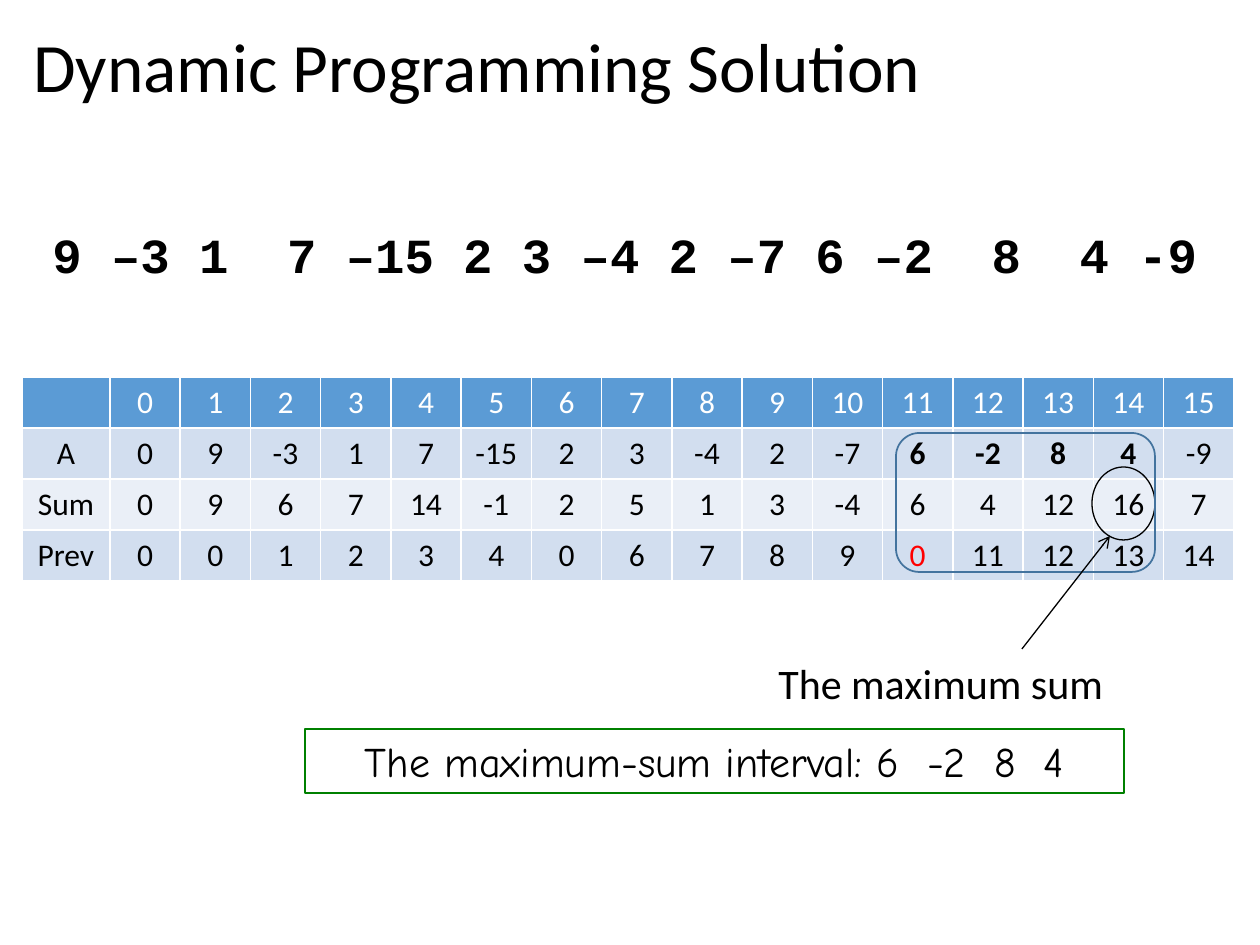
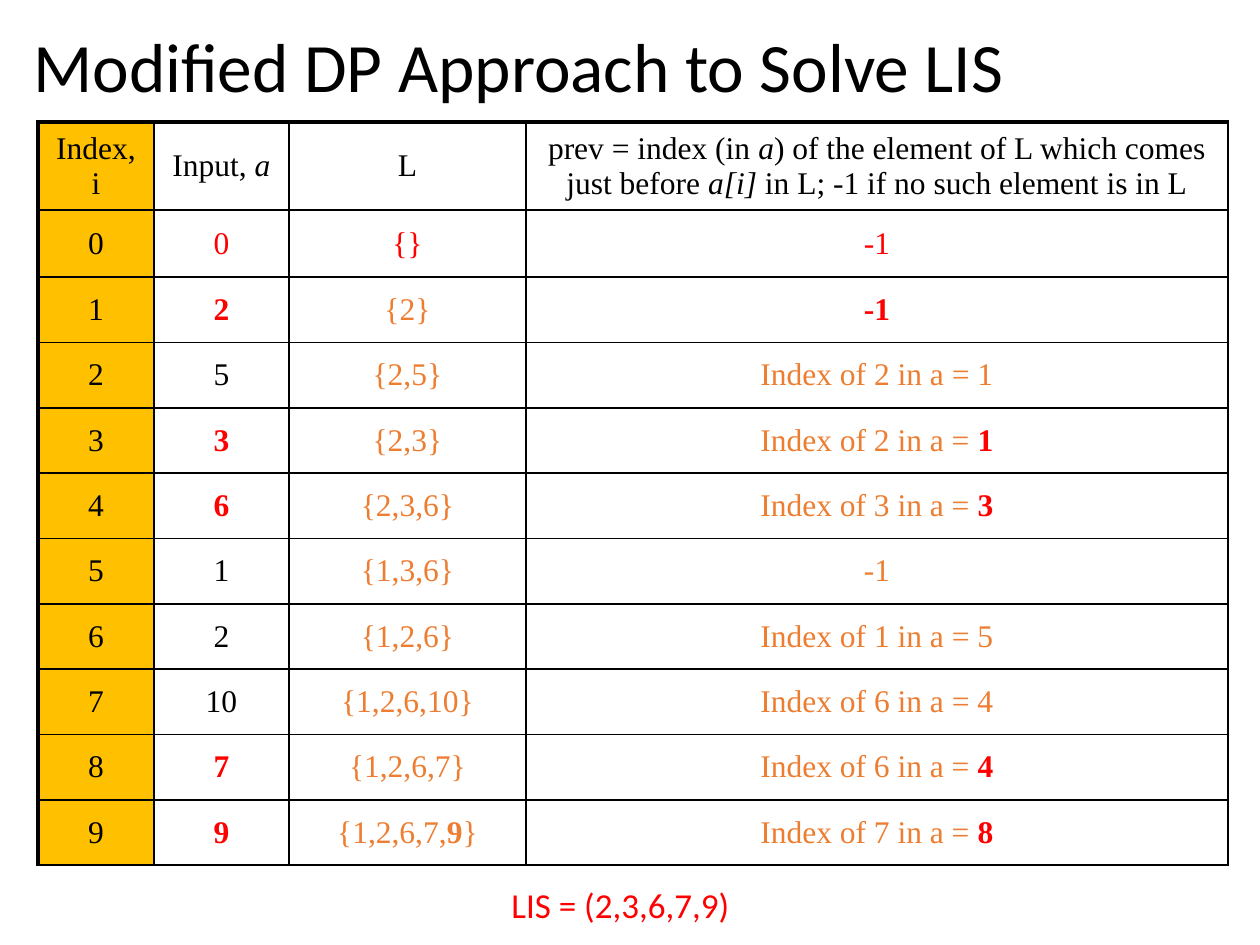
from pptx import Presentation, util as u
from pptx.dml.color import RGBColor
from pptx.enum import shapes, text
from pptx.oxml import parse_xml
from pptx.oxml.ns import nsdecls

PX = 914400 // 126  # EMU in one pixel
THEME = {
    "black": "000000", "white": "FFFFFF", "red": "FF0000", "orange": "ED7D31",
    "gold": "FFC000", "green": "008000", "outline": "43739E",
    "head": "5B9BD5", "band": "D2DEEF", "pale": "EAEFF7",
    "sans": "Calibri", "serif": "Times New Roman", "mono": "Courier New", "comic": "Comic Neue",
    "title": 39.6, "sequence": 28, "label": 24, "result": 20, "cell": 18,
}
CENTER, MIDDLE = text.PP_ALIGN.CENTER, text.MSO_ANCHOR.MIDDLE


def write(tf, runs, size, font="sans", color="black", align=None, **frame):
    """Fill a text frame with one paragraph of (text, format) runs."""
    for name, value in {"word_wrap": True, **frame}.items():
        setattr(tf, name, value)
    p = tf.paragraphs[0]
    p.alignment = align
    for words, fmt in runs:
        r = p.add_run()
        r.text = words
        fmt = dict(fmt)
        r.font.color.rgb = RGBColor.from_string(THEME[fmt.pop("color", color)])
        for name, value in {"name": THEME[font], "size": u.Pt(THEME[size]), **fmt}.items():
            setattr(r.font, name, value)
    return p


def fill_cell(cell, runs, font, color, fill, border, **widths):
    """Write a cell, then give it four borders and a fill."""
    write(cell.text_frame, runs, "cell", font, color, CENTER)
    cell.vertical_anchor = MIDDLE
    tc_pr = cell._tc.get_or_add_tcPr()
    for side in "LRTB":
        tc_pr.append(parse_xml(
            f'<a:ln{side} {nsdecls("a")} w="{u.Pt(widths.get(side, 1))}"><a:solidFill>'
            f'<a:srgbClr val="{THEME[border]}"/></a:solidFill></a:ln{side}>'))
    if fill:
        cell.fill.solid()
        cell.fill.fore_color.rgb = RGBColor.from_string(THEME[fill])
    else:
        cell.fill.background()


prs = Presentation()
prs.slide_width, prs.slide_height = u.Inches(10), u.Inches(7.5)

# Slides with their shared title style
slides = []
for title in ("Dynamic Programming Solution", "Modified DP Approach to Solve LIS"):
    s = prs.slides.add_slide(prs.slide_layouts[6])
    sp = s.shapes.add_textbox(21 * PX, 23 * PX, 1212 * PX, 93 * PX)
    p = write(sp.text_frame, [(title, {})], "title", vertical_anchor=MIDDLE)
    p.line_spacing = 0.9
    slides.append(s)
dp, lis = slides

# Slide 1: table of running sums
rows = [
    ["", *range(16)],
    ["A", 0, 9, -3, 1, 7, -15, 2, 3, -4, 2, -7, 6, -2, 8, 4, -9],
    ["Sum", 0, 9, 6, 7, 14, -1, 2, 5, 1, 3, -4, 6, 4, 12, 16, 7],
    ["Prev", 0, 0, 1, 2, 3, 4, 0, 6, 7, 8, 9, 0, 11, 12, 13, 14],
]
best = range(12, 16)  # columns of the maximum-sum interval
table = dp.shapes.add_table(4, 17, 22 * PX, 377 * PX, 1212 * PX, 204 * PX).table
table.first_row = table.horz_banding = False
for c, col in enumerate(table.columns):
    col.width = 88 * PX if c == 0 else (1212 - 88) * PX // 16
for i, (values, fill) in enumerate(zip(rows, ("head", "band", "pale", "band"))):
    table.rows[i].height = 51 * PX
    for c, value in enumerate(values):
        fmt = {}
        if values[0] == "A" and c in best:
            fmt = {"bold": True}
        elif values[0] == "Prev" and c == best[0]:
            fmt = {"color": "red"}
        fill_cell(table.cell(i, c), [(str(value), fmt)], "sans",
                  "white" if i == 0 else "black", fill, "white")

# Slide 1: input sequence and label
for words, box, size, font, bold, inset in (
    ("9 –3 1  7 –15 2 3 –4 2 –7 6 –2  8  4 -9", (40, 207, 1174, 72), "sequence", "mono", True, 17),
    ("The maximum sum", (766, 649, 368, 63), "label", "sans", False, 9),
):
    sp = dp.shapes.add_textbox(*(n * PX for n in box))
    write(sp.text_frame, [(words, {"bold": bold})], size, font, margin_top=inset * PX)

# Slide 1: ring round the maximum, answer box, frame round the interval
kinds = shapes.MSO_SHAPE
for kind, box, color, width, words in (
    (kinds.OVAL, (1092, 467, 63, 73), "black", 0.75, ""),
    (kinds.RECTANGLE, (305, 729, 819, 64), "green", 0.75, "The maximum-sum interval: 6  -2  8  4"),
    (kinds.ROUNDED_RECTANGLE, (896, 433, 259, 139), "outline", 1, ""),
):
    sp = dp.shapes.add_shape(kind, *(n * PX for n in box))
    sp.shadow.inherit = False
    sp.fill.background()
    sp.line.color.rgb = RGBColor.from_string(THEME[color])
    sp.line.width = u.Pt(width)
    if words:
        write(sp.text_frame, [(words, {})], "label", "comic", align=CENTER, vertical_anchor=MIDDLE)

# Slide 1: arrow from the label to the ring
arrow = dp.shapes.add_connector(shapes.MSO_CONNECTOR.STRAIGHT, 1022 * PX, 649 * PX, 1110 * PX, 536 * PX)
arrow.line.color.rgb = RGBColor.from_string(THEME["black"])
arrow.line.width = u.Pt(0.75)
arrow.line._get_or_add_ln().append(parse_xml(f'<a:tailEnd {nsdecls("a")} type="arrow"/>'))
arrow._element.spPr.append(parse_xml(f'<a:effectLst {nsdecls("a")}/>'))

# Slide 2: table of the longest increasing subsequence
a = [0, 2, 5, 3, 6, 1, 2, 10, 7, 9]
prev = [-1, -1, 1, 1, 3, -1, 5, 4, 4, 8]
L = ["", "2", "2,5", "2,3", "2,3,6", "1,3,6", "1,2,6", "1,2,6,10", "1,2,6,7", "1,2,6,7,9"]
members = (1, 3, 4, 8, 9)  # rows that belong to the answer
chosen = {"color": "red", "bold": True}
italic = {"italic": True}

grid = [[
    [("Index, i", {})],
    [("Input, ", {}), ("a", italic)],
    [("L", {})],
    [("prev = index (in ", {}), ("a", italic),
     (") of the element of L which comes just before ", {}), ("a[i]", italic),
     (" in L; -1 if no such element is in L", {})],
]]
for i, value in enumerate(a):
    plain = {"color": "red" if i == 0 else "orange"}
    mark = chosen if i in members else plain
    source = [(f"Index of {a[prev[i]]} in a = ", plain)] if prev[i] >= 0 else []
    series = [("{" + L[i] + "}", plain)]
    if i == len(a) - 1:
        series = [("{" + L[i][:-1], plain), (L[i][-1], {**plain, "bold": True}), ("}", plain)]
    grid.append([
        [(str(i), {})],
        [(str(value), mark if i in members or i == 0 else {})],
        series,
        source + [(str(prev[i]), mark)],
    ])

table = lis.shapes.add_table(11, 4, 38 * PX, 122 * PX, 1190 * PX, 742 * PX).table
table.first_row = table.horz_banding = False
for col, width in zip(table.columns, (116, 135, 237, 702)):
    col.width = width * PX
for i, cells in enumerate(grid):
    table.rows[i].height = (87, 67)[i] * PX if i < 2 else 588 * PX // 9
    for c, runs in enumerate(cells):
        fill_cell(table.cell(i, c), runs, "serif", "black", None if c else "gold", "black",
                  L=1 if c else 2.25, T=1 if i else 2.25)

# Slide 2: answer
sp = lis.shapes.add_textbox(499 * PX, 877 * PX, 374 * PX, 55 * PX)
write(sp.text_frame, [("LIS = (2,3,6,7,9)", {})], "result", color="red")

prs.save("out.pptx")
